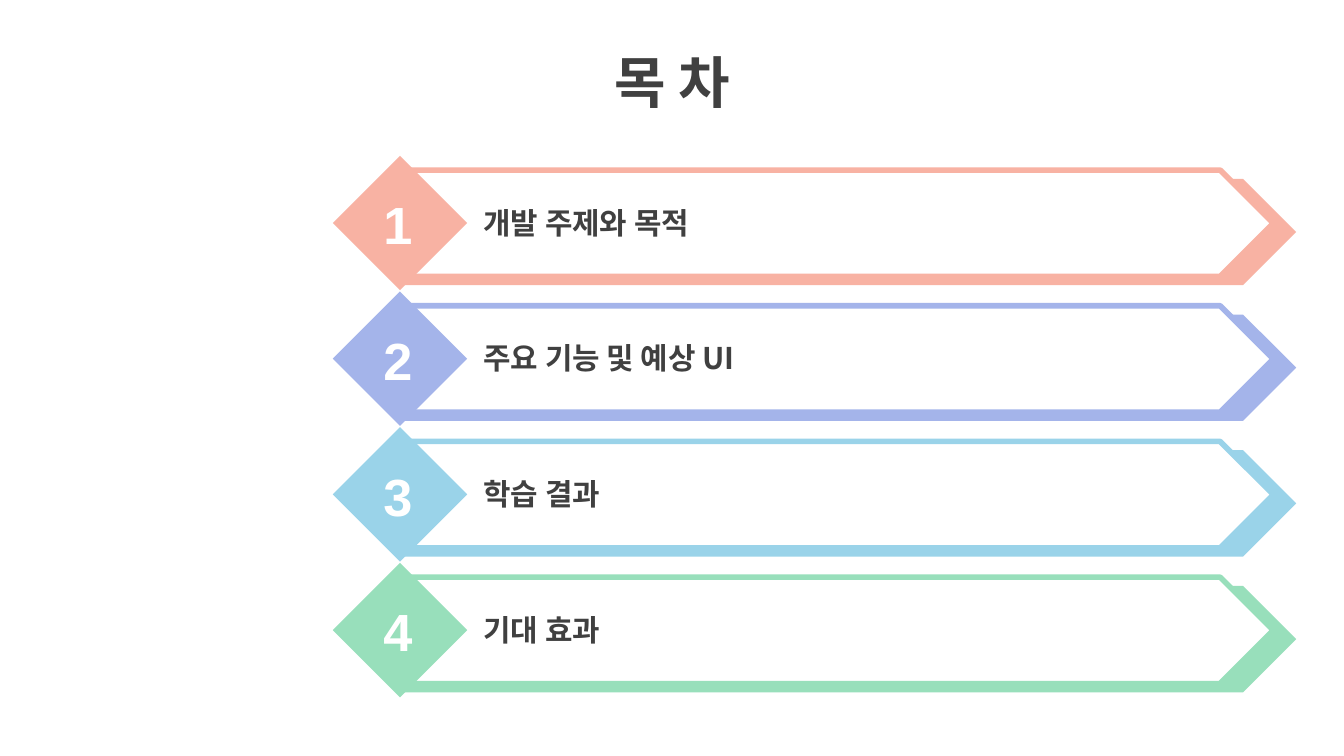
from lxml import etree
from pptx import Presentation
from pptx.dml.color import RGBColor
from pptx.enum.shapes import MSO_SHAPE
from pptx.enum.text import MSO_ANCHOR, PP_ALIGN
from pptx.oxml.ns import qn
from pptx.util import Pt

PENTAGON = MSO_SHAPE.PENTAGON
DIAMOND = MSO_SHAPE.DIAMOND
TOP, MIDDLE = MSO_ANCHOR.TOP, MSO_ANCHOR.MIDDLE
LEFT, CENTER = PP_ALIGN.LEFT, PP_ALIGN.CENTER

WHITE = RGBColor(0xFF, 0xFF, 0xFF)
DARK = RGBColor(0x40, 0x40, 0x40)
CORAL = RGBColor(0xF8, 0xB2, 0xA3)
PERIWINKLE = RGBColor(0xA4, 0xB4, 0xEA)
SKY = RGBColor(0x9A, 0xD3, 0xE9)
MINT = RGBColor(0x98, 0xDF, 0xBB)

KOREAN_FONT = "Noto Sans CJK KR"
NUMBER_FONT = "Arial"

ENTRIES = [
    ("개발 주제와 목적", CORAL),
    ("주요 기능 및 예상 UI", PERIWINKLE),
    ("학습 결과", SKY),
    ("기대 효과", MINT),
]
FIRST_TOP = 83.5
ROW_PITCH = 72.7


def add_shape(parent, kind, left, top, width, height, fill, outline=None):
    shape = parent.shapes.add_shape(kind, Pt(left), Pt(top), Pt(width), Pt(height))
    shape.shadow.inherit = False
    shape.fill.solid()
    shape.fill.fore_color.rgb = fill
    if outline is None:
        shape.line.fill.background()
    else:
        shape.line.color.rgb = outline
        shape.line.width = Pt(3)
    return shape


def add_text(page, text, left, top, width, height, size, font_name, color,
             align=LEFT, anchor=TOP):
    box = page.shapes.add_textbox(Pt(left), Pt(top), Pt(width), Pt(height))
    frame = box.text_frame
    frame.word_wrap = True
    frame.vertical_anchor = anchor
    frame.text = text
    para = frame.paragraphs[0]
    para.alignment = align
    span = para.runs[0]
    span.font.size = Pt(size)
    span.font.bold = True
    span.font.name = font_name
    span.font.color.rgb = color
    # Hangul takes its typeface from the East Asian font
    east_asian = etree.SubElement(span.font._element, qn("a:ea"))
    east_asian.set("typeface", font_name)


def add_entry(page, number, label, color, top):
    # Banner: coloured plate, white plate over it, number diamond
    banner = page.shapes.add_group_shape()
    add_shape(banner, PENTAGON, 216.4, top + 12.3, 478, 57, color)
    add_shape(banner, PENTAGON, 216.4, top + 7.6, 465.8, 57, WHITE, color)
    add_shape(banner, DIAMOND, 178.3, top, 72, 72, color)

    # Number and heading
    add_text(page, f"{number} ", 197.3, top + 15.9, 31.7, 41, 28, NUMBER_FONT, WHITE,
             CENTER, MIDDLE)
    add_text(page, label, 252, top + 22.4, 374.4, 26.6, 16, KOREAN_FONT, DARK)


def main():
    deck = Presentation()
    deck.slide_width, deck.slide_height = Pt(720), Pt(405)
    page = deck.slides.add_slide(deck.slide_layouts[6])

    # Title
    add_text(page, "목 차", 0, 20.9, 720, 45.4, 30, KOREAN_FONT, DARK, CENTER, MIDDLE)

    # Contents
    for index, (label, color) in enumerate(ENTRIES):
        add_entry(page, index + 1, label, color, FIRST_TOP + index * ROW_PITCH)

    deck.save("out.pptx")


if __name__ == "__main__":
    main()
